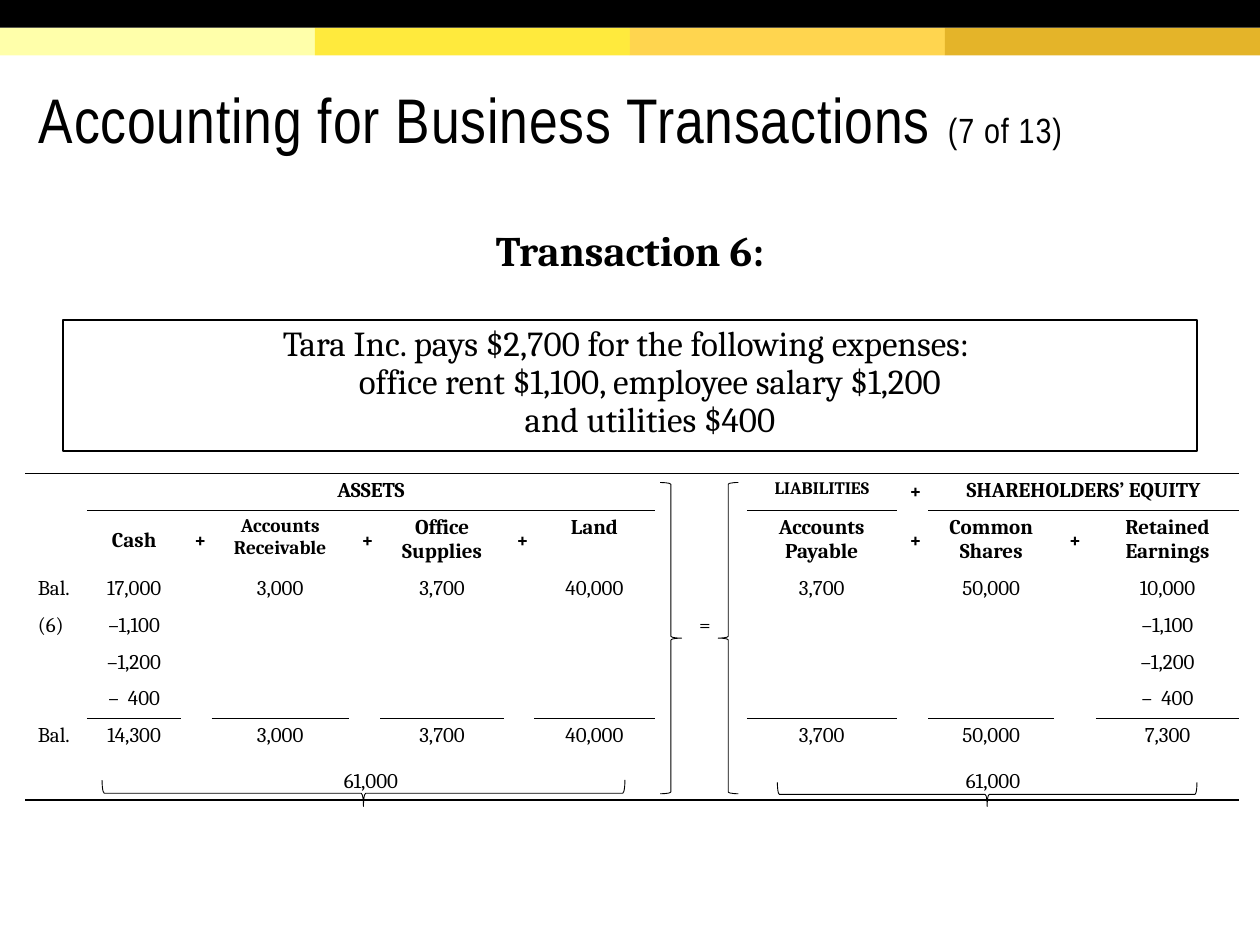
from dataclasses import dataclass

from lxml.etree import SubElement as Sub
from pptx import Presentation
from pptx.dml.color import RGBColor as RGB
from pptx.enum.shapes import MSO_SHAPE as Shape
from pptx.enum.text import MSO_ANCHOR as Anchor, PP_ALIGN as Align
from pptx.oxml.ns import qn
from pptx.util import Inches, Pt


@dataclass(frozen=True)
class Theme:
    ink: str = "000000"
    bands: tuple = ("FFFFAA", "FFEA3D", "FFD54F", "E4B429")
    head: str = "Arial Narrow"
    body: str = "Cambria"
    title: int = 36
    lead: int = 24
    text: int = 20
    cell: int = 12
    mid: int = 11
    small: int = 10


class Deck:
    def __init__(self, theme):
        self.theme = theme
        self.prs = Presentation()
        self.prs.slide_width, self.prs.slide_height = Inches(10), Inches(7.5)
        self.slide = self.prs.slides.add_slide(self.prs.slide_layouts[6])

    def run(self, para, text, size, font=None, bold=False, space=0):
        run = para.add_run()
        run.text = text
        run.font.size, run.font.bold = Pt(size), bold
        run.font.name = font or self.theme.body
        run.font.color.rgb = RGB.from_string(self.theme.ink)
        if space:
            run.font._element.set("spc", str(space))

    def lines(self, para, text, size, bold=False):
        for i, line in enumerate(text.split("\n")):
            if i:
                para.add_line_break()
            self.run(para, line, size, bold=bold)

    def shape(self, kind, box, fill=None, line=None, turn=0):
        item = self.slide.shapes.add_shape(kind, *map(Inches, box))
        item.shadow.inherit = False
        item.rotation = turn
        if fill:
            item.fill.solid()
            item.fill.fore_color.rgb = RGB.from_string(fill)
        else:
            item.fill.background()
        if line:
            item.line.color.rgb = RGB.from_string(self.theme.ink)
            item.line.width = Pt(line)
        else:
            item.line.fill.background()
        return item

    def title(self, box, parts):
        frame = self.slide.shapes.add_textbox(*map(Inches, box)).text_frame
        frame.word_wrap = True
        frame.vertical_anchor = Anchor.MIDDLE
        frame.margin_top = Inches(0.1)
        para = frame.paragraphs[0]
        para.line_spacing = 0.85
        for text, size in parts:
            self.run(para, text, size, self.theme.head, space=50)

    def block(self, box, text, size, bold=False, line=None, pitch=1.0):
        frame = self.shape(Shape.RECTANGLE, box, line=line).text_frame
        frame.word_wrap = True
        frame.vertical_anchor = Anchor.TOP
        para = frame.paragraphs[0]
        para.alignment, para.line_spacing = Align.CENTER, pitch
        props = para._p.get_or_add_pPr()
        props.set("marL", str(Inches(0.32)))
        props.set("indent", str(Inches(-0.32)))
        self.lines(para, text, size, bold)

    def table(self, spot, cols, rows, spans):
        area = [*spot, sum(cols), sum(rows)]
        grid = self.slide.shapes.add_table(len(rows), len(cols), *map(Inches, area)).table
        grid.first_row = grid.horz_banding = False
        # The built-in style with neither fills nor grid lines
        grid._tbl.tblPr.find(qn("a:tableStyleId")).text = "{2D5ABB26-0587-4C30-8999-92F81FD0307C}"
        for col, width in zip(grid.columns, cols):
            col.width = Inches(width)
        for row, height in zip(grid.rows, rows):
            row.height = Inches(height)
        for row, start, end in spans:
            grid.cell(row, start).merge(grid.cell(row, end))
        return grid

    def cell(self, cell, text, size, bold, align, anchor, edges):
        props = cell._tc.get_or_add_tcPr()
        # Every side is stated, so that none is taken from a neighbour
        for edge in "LRTB":
            line = Sub(props, qn("a:ln" + edge), w=str(Pt(1)))
            if edge in edges:
                Sub(Sub(line, qn("a:solidFill")), qn("a:srgbClr"), val=self.theme.ink)
            else:
                Sub(line, qn("a:noFill"))
        cell.fill.background()
        cell.vertical_anchor = anchor
        cell.margin_top, cell.margin_bottom = Inches(0.04), Inches(0.05)
        para = cell.text_frame.paragraphs[0]
        para.alignment = align
        if text:
            self.lines(para, text, size, bold)
        else:
            Sub(para._p, qn("a:endParaRPr"), sz=str(size * 100))


# Table content by row, then by column
COLS = [0.49, 0.75, 0.23, 1.09, 0.25, 0.98, 0.23, 0.96,
        0.25, 0.23, 0.23, 1.19, 0.25, 1, 0.33, 1.14]
ROWS = [0.29, 0.48] + [0.29] * 5 + [0.36]
SPANS = [(0, 1, 7), (0, 13, 15), (7, 1, 7), (7, 11, 15)]
VALUES = (1, 3, 5, 7, 11, 13, 15)
SIGNS = (2, 4, 6, 12, 14)
HEADED = (*range(1, 8), 11, 13, 14, 15)
NAMES = ("Cash", "Accounts Receivable", "Office Supplies", "Land",
         "Accounts Payable", "Common Shares", "Retained\nEarnings")
START = ("17,000", "3,000", "3,700", "40,000", "3,700", "50,000", "10,000")
FINAL = ("14,300", "3,000", "3,700", "40,000", "3,700", "50,000", "7,300")
DATA = [
    {1: "ASSETS", 11: "LIABILITIES", 12: "+", 13: "SHAREHOLDERS’ EQUITY"},
    dict(zip(VALUES, NAMES)) | dict.fromkeys(SIGNS, "+"),
    {0: "Bal."} | dict(zip(VALUES, START)),
    {0: "(6)", 1: "–1,100", 9: "=", 15: "–1,100"},
    dict.fromkeys((1, 15), "–1,200"),
    dict.fromkeys((1, 15), "–  400"),
    {0: "Bal."} | dict(zip(VALUES, FINAL)),
    dict.fromkeys((1, 11), "61,000"),
]


def edges(row, col):
    top = row == 0 or (row == 1 and col in HEADED) or (row == 6 and col in VALUES)
    base = row == 7 or (row == 0 and col in HEADED) or (row == 5 and col in VALUES)
    return "T" * top + "B" * base


def anchor(row, col):
    if row == 7 or (row == 0 and col == 12):
        return Anchor.BOTTOM
    if row == 1 and (col == 1 or col in SIGNS):
        return Anchor.MIDDLE
    return Anchor.TOP


def main():
    theme = Theme()
    deck = Deck(theme)

    # Top bands
    for i, shade in enumerate(theme.bands):
        deck.shape(Shape.RECTANGLE, (2.5 * i, 0.22, 2.5, 0.22), fill=shade)
    deck.shape(Shape.RECTANGLE, (0, 0, 10, 0.22), fill=theme.ink)

    # Title and event
    deck.title((0.21, 0.47, 9.49, 0.98),
               [("Accounting for Business Transactions ", theme.title),
                ("(7 of 13)", theme.text)])
    deck.block((0.5, 1.73, 9, 0.52), "Transaction 6:", theme.lead, bold=True)
    deck.block((0.5, 2.54, 9, 1.04),
               "Tara Inc. pays $2,700 for the following expenses: \n"
               "office rent $1,100, employee salary $1,200\nand utilities $400",
               theme.text, line=1, pitch=0.9)

    # Ledger table
    grid = deck.table((0.2, 3.76), COLS, ROWS, SPANS)
    sizes = {(0, 11): theme.small, (1, 3): theme.mid}
    for r, data in enumerate(DATA):
        for c in range(len(COLS)):
            align = Align.LEFT if c in (0, 9) else Align.CENTER
            deck.cell(grid.cell(r, c), data.get(c, ""), sizes.get((r, c), theme.cell),
                      r < 2, align, anchor(r, c), edges(r, c))

    # Braces: under each side, then around the equals sign
    for kind, box, turn in (
        (Shape.LEFT_BRACE, (2.78, 4.22, 0.21, 4.15), 270),
        (Shape.RIGHT_BRACE, (5.24, 3.83, 0.17, 2.47), 0),
        (Shape.LEFT_BRACE, (5.7, 3.83, 0.16, 2.47), 0),
        (Shape.LEFT_BRACE, (7.74, 4.64, 0.19, 3.33), 270),
    ):
        deck.shape(kind, box, line=0.5, turn=turn)

    deck.prs.save("out.pptx")


if __name__ == "__main__":
    main()
